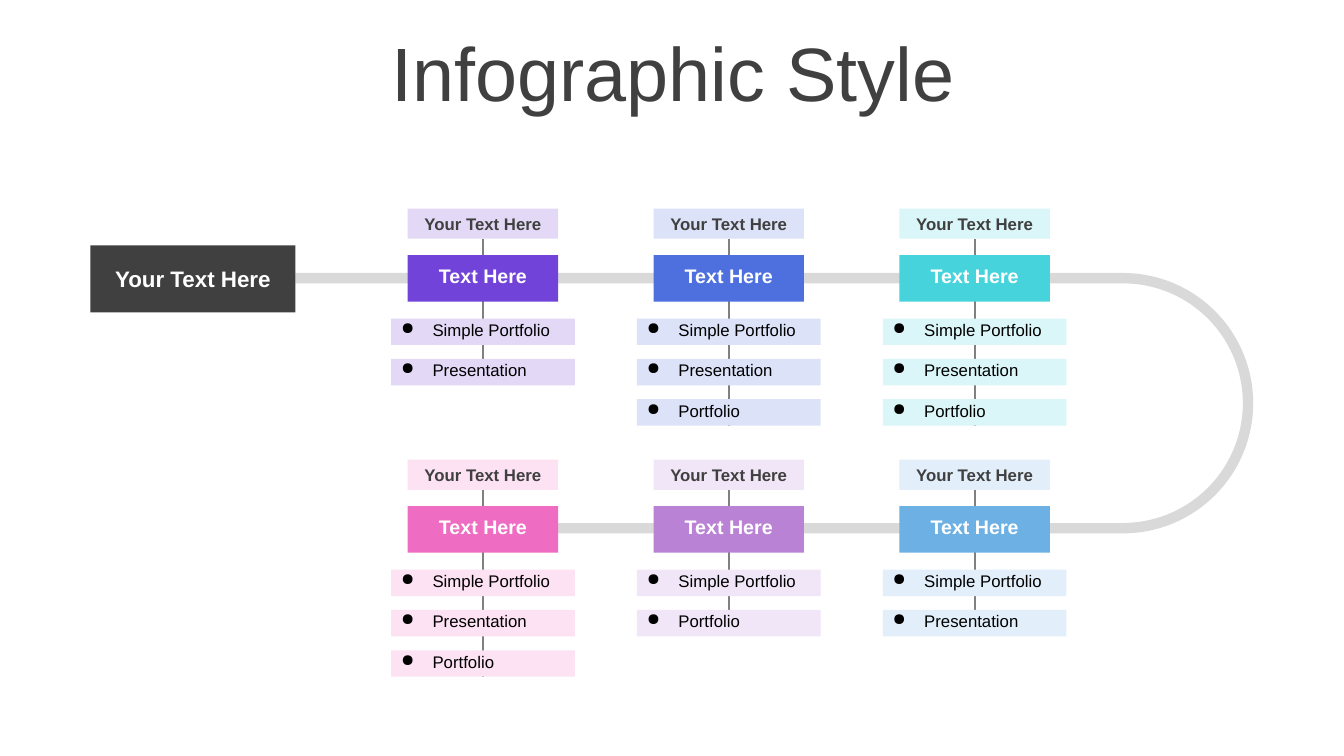
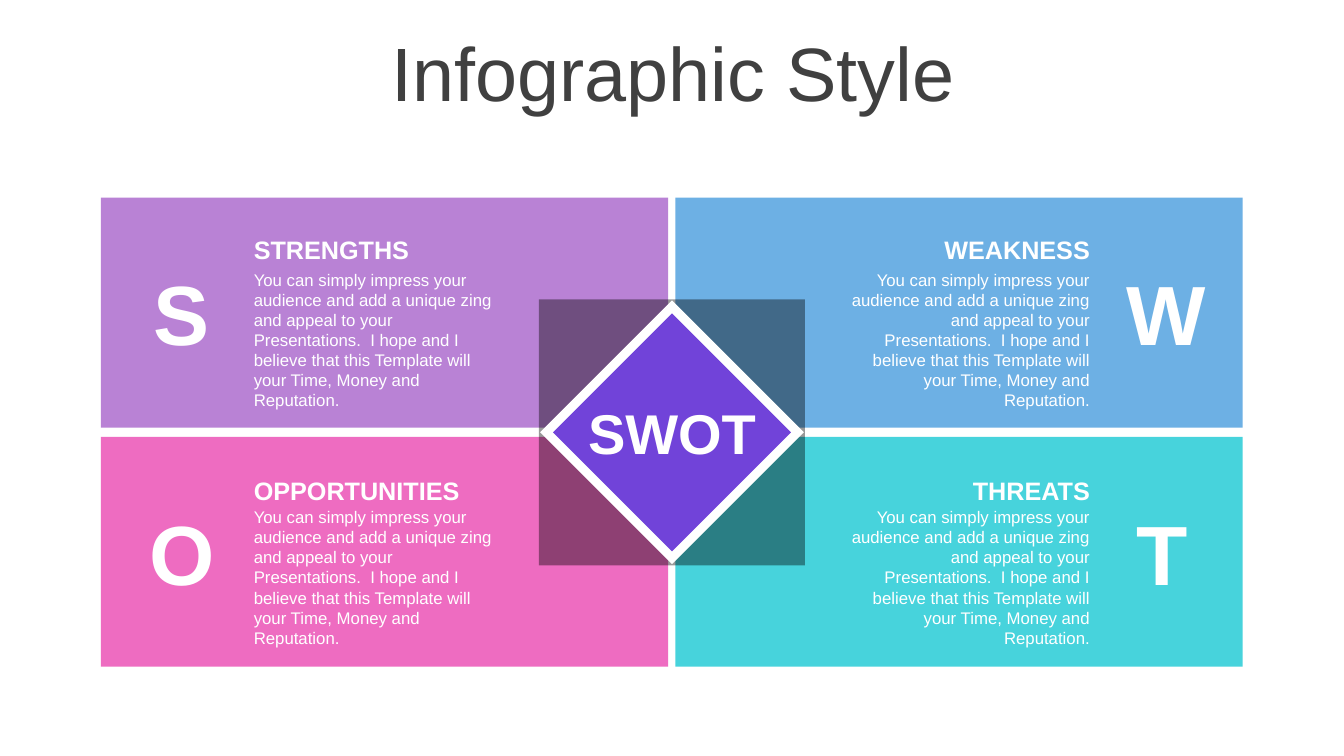
import lxml.etree
import pptx
import pptx.dml.color
import pptx.enum.shapes
import pptx.enum.text
import pptx.oxml.ns
import pptx.util

Pt = pptx.util.Pt
qn = pptx.oxml.ns.qn
PRESET = pptx.enum.shapes.MSO_SHAPE
ALIGN = pptx.enum.text.PP_ALIGN
ANCHOR = pptx.enum.text.MSO_ANCHOR

FONT = "Arial"
WHITE, BLACK, DARK = "FFFFFF", "000000", "404040"
TRACK, STEM = "D9D9D9", "808080"
PURPLE, BLUE, TEAL = "7143D9", "4E70DE", "47D3DC"
PINK, LILAC, SKY = "EE6CC1", "B982D5", "6DB0E4"

BODY = (
    "You can simply impress your audience and add a unique zing and appeal to "
    "your Presentations.  I hope and I believe that this Template will your "
    "Time, Money and Reputation."
)


def color(hex_string):
    return pptx.dml.color.RGBColor.from_string(hex_string)


def add_bullet(paragraph, character="●", indent=22.5):
    properties = paragraph._p.get_or_add_pPr()
    properties.set("marL", str(Pt(indent)))
    properties.set("indent", str(-Pt(indent)))
    lxml.etree.SubElement(properties, qn("a:buChar")).set("char", character)


def write_text(shape, text, size=12, ink=WHITE, bold=False, align=ALIGN.LEFT,
               anchor=ANCHOR.TOP, wrap=True, bullet=False, line_spacing=None,
               margin_top=3.6):
    frame = shape.text_frame
    frame.word_wrap = wrap
    frame.auto_size = pptx.enum.text.MSO_AUTO_SIZE.NONE
    frame.vertical_anchor = anchor
    frame.margin_left = frame.margin_right = Pt(7.2)
    frame.margin_top, frame.margin_bottom = Pt(margin_top), Pt(3.6)
    paragraph = frame.paragraphs[0]
    if bullet:
        add_bullet(paragraph)
    paragraph.alignment = align
    paragraph.space_before = Pt(0)
    if line_spacing:
        paragraph.line_spacing = line_spacing
    run = paragraph.add_run()
    run.text = text
    run.font.name = FONT
    run.font.size = Pt(size)
    run.font.bold = bold
    run.font.color.rgb = color(ink)


class Deck:
    """The presentation, its shared style and the slide being filled."""

    def __init__(self):
        self.presentation = pptx.Presentation()
        self.presentation.slide_width = Pt(960)
        self.presentation.slide_height = Pt(540)
        self.slide = None

    def add_slide(self, title):
        layout = self.presentation.slide_layouts.get_by_name("Title Only")
        self.slide = self.presentation.slides.add_slide(layout)
        shape = self.slide.shapes.title
        shape.left, shape.top = Pt(25), Pt(26.6)
        shape.width, shape.height = Pt(911.5), Pt(57)
        write_text(shape, title, size=54, ink=DARK, align=ALIGN.CENTER,
                   anchor=ANCHOR.MIDDLE, line_spacing=0.9)

    def shape(self, left, top, width, height, fill, preset=PRESET.RECTANGLE,
              opacity=None):
        shape = self.slide.shapes.add_shape(
            preset, Pt(left), Pt(top), Pt(width), Pt(height))
        shape.shadow.inherit = False
        shape.line.fill.background()
        shape.fill.solid()
        shape.fill.fore_color.rgb = color(fill)
        if opacity is not None:
            fill_color = shape._element.spPr.find(".//" + qn("a:srgbClr"))
            alpha = lxml.etree.SubElement(fill_color, qn("a:alpha"))
            alpha.set("val", str(opacity * 1000))
        return shape

    def text(self, left, top, width, height, text, **text_format):
        box = self.slide.shapes.add_textbox(
            Pt(left), Pt(top), Pt(width), Pt(height))
        write_text(box, text, **text_format)

    def stem(self, x, top, bottom):
        connector = self.slide.shapes.add_connector(
            pptx.enum.shapes.MSO_CONNECTOR.STRAIGHT,
            Pt(x), Pt(top), Pt(x), Pt(bottom))
        connector.line.color.rgb = color(STEM)
        connector.line.width = Pt(1.5)
        lxml.etree.SubElement(connector._element.spPr, qn("a:effectLst"))
        return connector

    def station(self, center, top, strong, pale, items):
        """A label, a node and its items, strung on one vertical stem."""
        width, label_height, item_width, item_height = 107.5, 21.6, 131.2, 18.9
        left = center - width / 2
        item_tops = [top + 78.5 + 28.8 * index for index in range(len(items))]
        stem = self.stem(center, top + label_height, item_tops[-1] + item_height)

        label = self.shape(left, top, width, label_height, pale)
        write_text(label, "Your Text Here", ink=DARK, bold=True,
                   align=ALIGN.CENTER)
        node = self.shape(left, top + 33.2, width, 33.2, strong)
        write_text(node, "Text Here", size=14, bold=True, align=ALIGN.CENTER,
                   anchor=ANCHOR.MIDDLE, margin_top=0)
        for item, item_top in zip(items, item_tops):
            box = self.shape(center - item_width / 2, item_top, item_width,
                             item_height, pale)
            write_text(box, item, ink=BLACK, bullet=True, line_spacing=0.8)
        stem.begin_connect(label, 2)
        stem.end_connect(box, 2)

    def centered(self, size, fill, preset, opacity=None):
        """A square-sided shape on the middle of the SWOT grid."""
        return self.shape(480 - size / 2, 308.8 - size / 2, size, size, fill,
                          preset, opacity)


def build_timeline(deck):
    deck.add_slide("Infographic Style")

    arc_left, arc_top, arc_size, thickness = 709.2, 195, 186, 7.4
    arc = deck.shape(arc_left, arc_top, arc_size, arc_size, TRACK,
                     PRESET.BLOCK_ARC)
    # Block-arc angles are in 60000ths of a degree, scaled by 100000.
    for index, value in enumerate((270 * 0.6, 90 * 0.6, 0.04)):
        arc.adjustments[index] = value
    track_end = arc_left + arc_size / 2
    for left, top in ((211, arc_top),
                      (353.5, arc_top + arc_size - thickness)):
        deck.shape(left, top, track_end - left, thickness, TRACK)

    start = deck.shape(64.6, 175.2, 146.4, 48, DARK)
    write_text(start, "Your Text Here", size=16, bold=True,
               align=ALIGN.CENTER, anchor=ANCHOR.MIDDLE)

    simple, presentation, portfolio = (
        "Simple Portfolio", "Presentation", "Portfolio")
    rows = (
        ((PURPLE, "E3D9F7", (simple, presentation)),
         (BLUE, "DCE2F8", (simple, presentation, portfolio)),
         (TEAL, "DAF6F8", (simple, presentation, portfolio))),
        ((PINK, "FCE2F3", (simple, presentation, portfolio)),
         (LILAC, "F1E6F7", (simple, portfolio)),
         (SKY, "E2EFFA", (simple, presentation))),
    )
    for row, stations in enumerate(rows):
        for column, station in enumerate(stations):
            deck.station(345 + 175.6 * column, 149 + 179.4 * row, *station)


def build_swot(deck):
    deck.add_slide("Infographic Style")

    quadrants = (
        (0, 0, LILAC, "S", "STRENGTHS"),
        (0, 1, PINK, "O", "OPPORTUNITIES"),
        (1, 0, SKY, "W", "WEAKNESS"),
        (1, 1, TEAL, "T", "THREATS"),
    )
    letter_lefts, text_lefts = (97.9, 797.8), (174.2, 592.6)
    aligns = (ALIGN.LEFT, ALIGN.RIGHT)
    heading_offsets, body_offsets = (22.8, 24.2), (47.6, 46.4)

    for column, row, fill, letter, heading in quadrants:
        top = 141.2 + 170.8 * row
        text_left, align = text_lefts[column], aligns[column]
        deck.shape(72 + 410.4 * column, top, 405.2, 164.2, fill)
        deck.text(text_left, top + heading_offsets[row], 193, 21.6, heading,
                  size=18, bold=True, align=align)
        deck.text(text_left, top + body_offsets[row], 193, 94.4, BODY,
                  align=align)
        deck.text(letter_lefts[column], top + 42.4, 64, 80, letter, size=60,
                  bold=True, align=ALIGN.CENTER)

    deck.centered(190, BLACK, PRESET.RECTANGLE, opacity=40)
    deck.centered(188.4, WHITE, PRESET.DIAMOND)
    core = deck.centered(170, PURPLE, PRESET.DIAMOND)
    write_text(core, "SWOT", size=40, bold=True, align=ALIGN.CENTER,
               anchor=ANCHOR.MIDDLE, wrap=False)


def main():
    deck = Deck()
    build_timeline(deck)
    build_swot(deck)
    deck.presentation.save("out.pptx")


if __name__ == "__main__":
    main()
